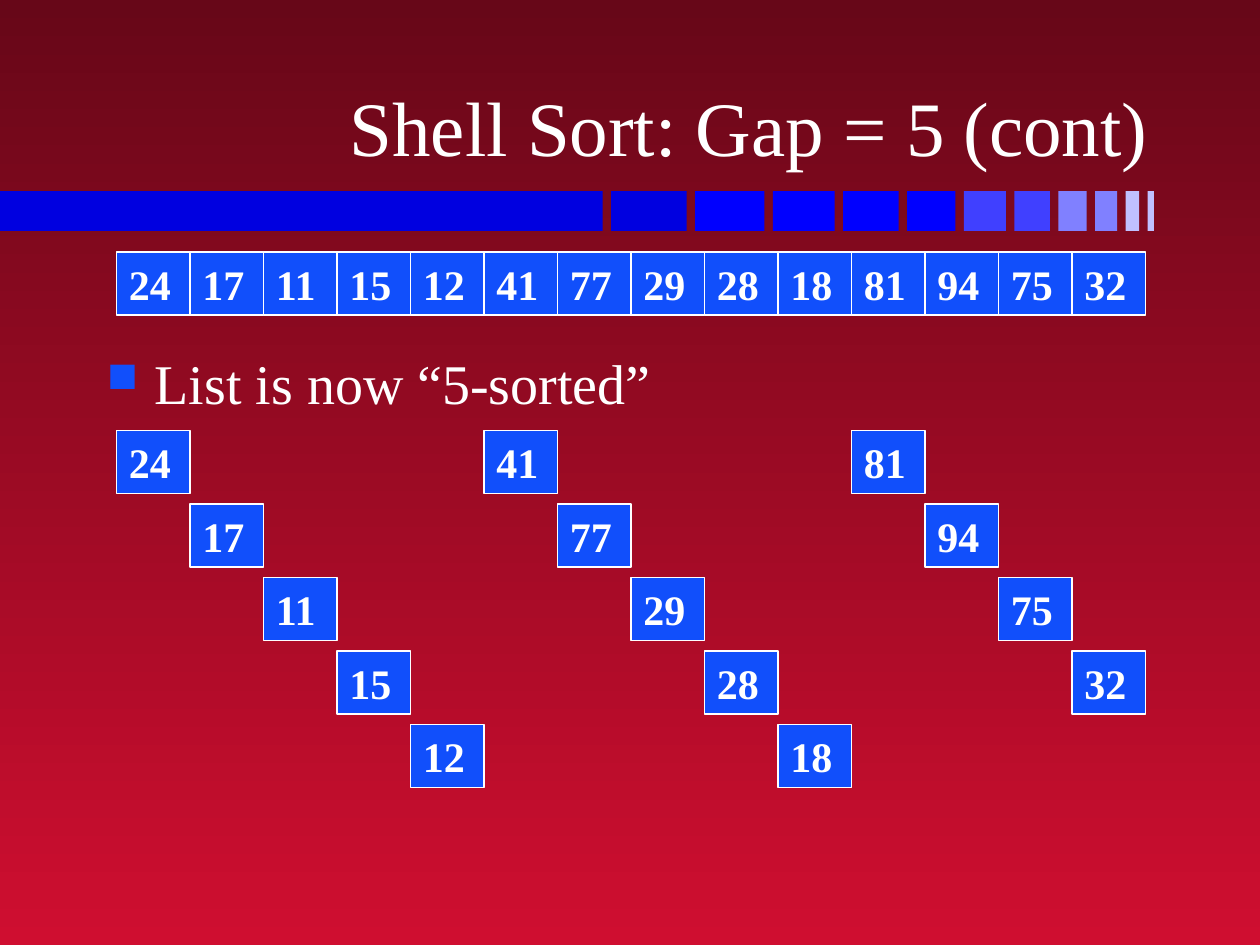
from lxml import etree
from pptx import Presentation
from pptx import util as u
from pptx.dml.color import RGBColor
from pptx.enum import shapes, text
from pptx.oxml import ns

PX = 7620  # EMU per px, 120 px to the inch
COLORS = {
    "top": "670718", "bottom": "CF0E30", "cell": "114FFB", "white": "FFFFFF",
    "navy": "0000E0", "blue": "0000FF", "mid": "4040FF", "light": "8080FF",
    "pale": "C0C0FF",
}
FONT = "Times New Roman"
VALUES = [24, 17, 11, 15, 12, 41, 77, 29, 28, 18, 81, 94, 75, 32]
SORT_GAP = 5
CELL_LEFT, CELL_STEP, CELL_HEIGHT = 111, 70, 60
LIST_TOP, SUBLISTS_TOP = 240, 410
BAR_TOP, BAR_HEIGHT, BAR_SPACING = 182, 38, 8
BARS = [
    (574, "navy"), (72, "navy"), (66, "blue"), (59, "blue"), (53, "blue"),
    (46, "blue"), (40, "mid"), (34, "mid"), (27, "light"), (21, "light"),
    (13, "pale"), (6, "pale"),
]


def rgb(name):
    return RGBColor.from_string(COLORS[name])


def px(*lengths):
    return [u.Emu(length * PX) for length in lengths]


class SlideBuilder:
    def __init__(self, slide):
        self.slide = slide

    def background(self):
        fill = self.slide.background.fill
        fill.gradient()
        fill.gradient_angle = 270
        for stop, name in zip(fill.gradient_stops, ("top", "bottom")):
            stop.color.rgb = rgb(name)

    def set_text(self, shape, words, size, frame_format, align, bold=False):
        frame = shape.text_frame
        for key, value in frame_format.items():
            setattr(frame, key, value)
        paragraph = frame.paragraphs[0]
        paragraph.alignment = align
        run = paragraph.add_run()
        run.text = words
        font_format = {"name": FONT, "size": u.Pt(size), "bold": bold}
        for key, value in font_format.items():
            setattr(run.font, key, value)
        run.font.color.rgb = rgb("white")
        return paragraph

    def title(self, words, left, top, width, height):
        title = self.slide.shapes.title
        title.left, title.top, title.width, title.height = px(left, top, width, height)
        frame_format = {
            "vertical_anchor": text.MSO_ANCHOR.BOTTOM,
            "word_wrap": True,
            "auto_size": text.MSO_AUTO_SIZE.NONE,
        }
        self.set_text(title, words, 44, frame_format, text.PP_ALIGN.RIGHT)

    def block(self, color, left, top, width, height):
        block = self.slide.shapes.add_shape(
            shapes.MSO_SHAPE.RECTANGLE, *px(left, top, width, height))
        block.shadow.inherit = False
        block.fill.solid()
        block.fill.fore_color.rgb = rgb(color)
        block.line.fill.background()
        return block

    def cell(self, value, column, top):
        left = CELL_LEFT + column * CELL_STEP
        cell = self.block("cell", left, top, CELL_STEP, CELL_HEIGHT)
        cell.line.color.rgb = rgb("white")
        cell.line.width = u.Pt(1)
        frame_format = {
            "vertical_anchor": text.MSO_ANCHOR.MIDDLE, "word_wrap": False}
        self.set_text(cell, str(value), 24, frame_format, text.PP_ALIGN.LEFT, bold=True)

    def bullet(self, words, left, top, width, height):
        box = self.slide.shapes.add_textbox(*px(left, top, width, height))
        frame_format = {"word_wrap": True, "margin_top": u.Inches(0.1)}
        paragraph = self.set_text(box, words, 32, frame_format, text.PP_ALIGN.LEFT)
        props = paragraph._p.get_or_add_pPr()
        indent = u.Inches(0.38)
        props.set("marL", str(indent))
        props.set("indent", str(-indent))
        color = etree.SubElement(props, ns.qn("a:buClr"))
        etree.SubElement(color, ns.qn("a:srgbClr"), val=COLORS["cell"])
        etree.SubElement(props, ns.qn("a:buSzPct"), val="75000")
        etree.SubElement(props, ns.qn("a:buChar"), char="■")


def main():
    deck = Presentation()
    deck.slide_width, deck.slide_height = px(1200, 900)
    builder = SlideBuilder(deck.slides.add_slide(deck.slide_layouts[5]))
    builder.background()

    bar_left = 0
    for width, color in BARS:
        builder.block(color, bar_left, BAR_TOP, width, BAR_HEIGHT)
        bar_left += width + BAR_SPACING

    builder.title("Shell Sort: Gap = 5 (cont)", 89, 23, 1017, 147)
    builder.bullet("List is now “5-sorted”", 90, 320, 1020, 480)

    for column, value in enumerate(VALUES):
        builder.cell(value, column, LIST_TOP)
        builder.cell(value, column, SUBLISTS_TOP + column % SORT_GAP * CELL_STEP)

    deck.save("out.pptx")


if __name__ == "__main__":
    main()
